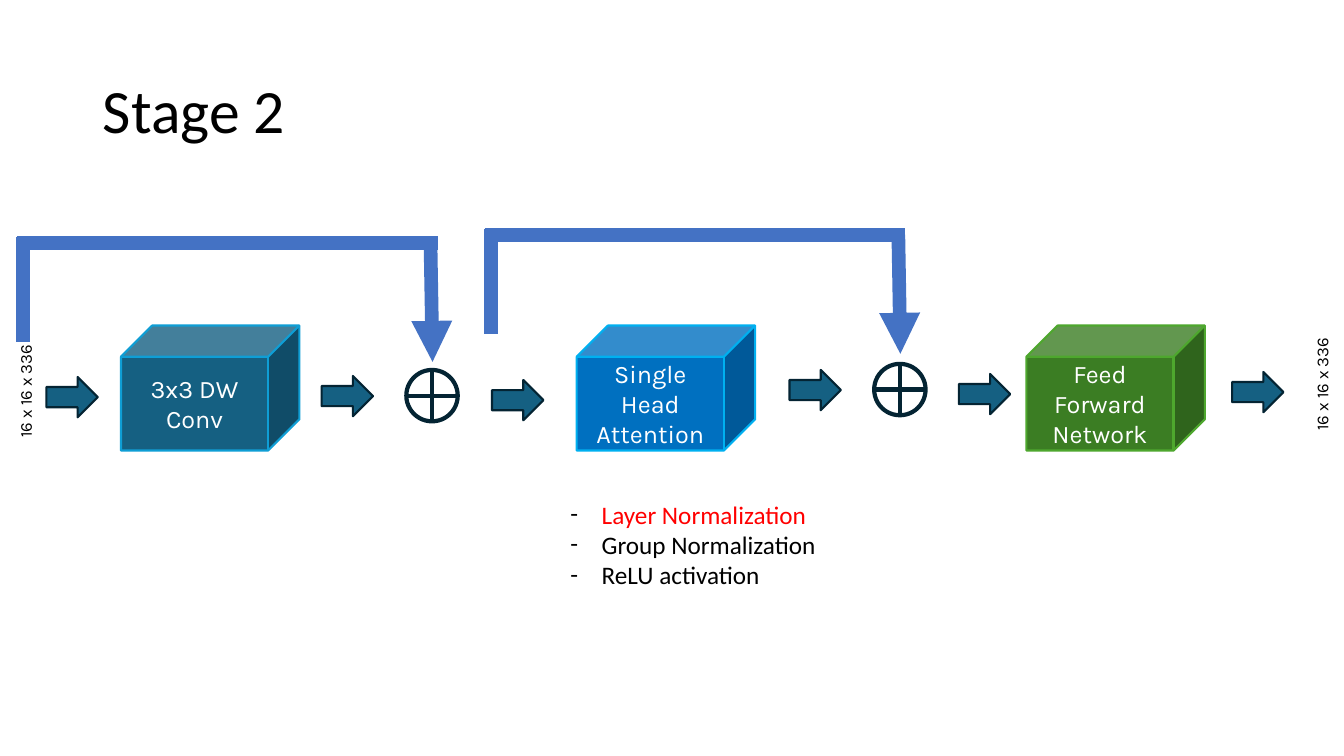
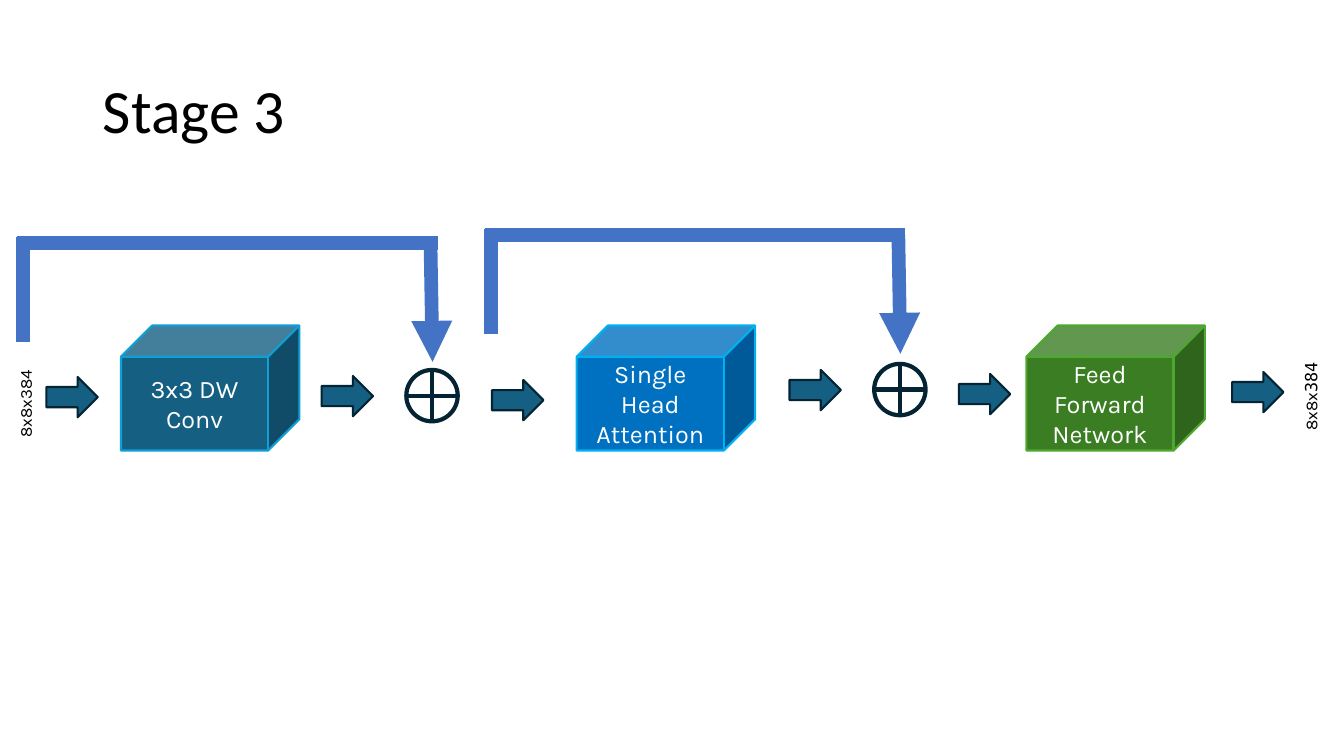
from lxml import etree
from pptx import Presentation
from pptx.dml.color import RGBColor
from pptx.enum import shapes, text
from pptx.oxml import ns
from pptx.util import Inches, Pt

TITLE_FONT, LABEL_FONT = "Calibri", "Karla"
BLACK, WHITE, RED = "000000", "FFFFFF", "FF0000"
TEAL, NAVY, BYPASS_BLUE = "156082", "042433", "4472C4"


def color(hex_string):
    return RGBColor.from_string(hex_string)


def add_xml(parent, tag, **attributes):
    return etree.SubElement(parent, ns.qn(tag), attributes)


def style_runs(para, font, size, font_color=BLACK):
    for span in para.runs:
        span.font.name = font
        span.font.size = Pt(size)
        span.font.color.rgb = color(font_color)


class StageDeck:
    """Holds the presentation, its style and the slide being built."""

    def __init__(self):
        self.deck = Presentation()
        self.deck.slide_width, self.deck.slide_height = Inches(13.33), Inches(7.5)
        self.page = None

    def new_page(self, title):
        self.page = self.deck.slides.add_slide(self.deck.slide_layouts[5])
        box = self.page.shapes.title
        box.left, box.top, box.width, box.height = map(Inches, (0.92, 0.4, 11.5, 1.45))
        box.text_frame.text = title
        box.text_frame.vertical_anchor = text.MSO_ANCHOR.MIDDLE
        para = box.text_frame.paragraphs[0]
        para.alignment = text.PP_ALIGN.LEFT
        para.line_spacing = 0.9
        style_runs(para, TITLE_FONT, 44)

    def shape(self, kind, left, top, width, height, fill, line, line_width=1.5):
        shape = self.page.shapes.add_shape(
            kind, Inches(left), Inches(top), Inches(width), Inches(height))
        shape.shadow.inherit = False
        if fill:
            shape.fill.solid()
            shape.fill.fore_color.rgb = color(fill)
        else:
            shape.fill.background()
        shape.line.color.rgb = color(line)
        shape.line.width = Pt(line_width)
        return shape

    def block(self, left, label, fill, line):
        cube = self.shape(shapes.MSO_SHAPE.CUBE, left, 3.23, 1.77, 1.24, fill, line)
        cube.text_frame.text = label
        cube.text_frame.vertical_anchor = text.MSO_ANCHOR.MIDDLE
        para = cube.text_frame.paragraphs[0]
        para.alignment = text.PP_ALIGN.CENTER
        style_runs(para, LABEL_FONT, 18, WHITE)

    def arrow(self, left, top):
        self.shape(shapes.MSO_SHAPE.RIGHT_ARROW, left, top, 0.51, 0.4, TEAL, NAVY)

    def adder(self, left, top):
        self.shape(shapes.MSO_SHAPE.FLOWCHART_OR, left, top, 0.51, 0.51, None, NAVY, 3)

    def bypass(self, left, top):
        """Draw a skip connection: a bar, a drop with an arrowhead, and a riser."""
        group = self.page.shapes.add_group_shape()
        for x1, y1, x2, y2, has_head in (
                (0, 0, 4.17, 0, False),
                (4.1, 0, 4.12, 1.18, True),
                (0.06, -0.06, 0.06, 0.98, False)):
            line = group.shapes.add_connector(
                shapes.MSO_CONNECTOR.STRAIGHT,
                Inches(left + x1), Inches(top + y1), Inches(left + x2), Inches(top + y2))
            line.line.color.rgb = color(BYPASS_BLUE)
            line.line.width = Pt(9.75)
            if has_head:
                add_xml(line.line._get_or_add_ln(), "a:tailEnd", type="triangle")
            add_xml(line._element.spPr, "a:effectLst")

    def text_box(self, left, top, width, height):
        box = self.page.shapes.add_textbox(
            Inches(left), Inches(top), Inches(width), Inches(height))
        box.text_frame.word_wrap = True
        return box

    def size_label(self, left, middle, label, mono_tail=""):
        """Write a tensor size upwards; left and middle are where it shows."""
        length, thickness = 1.2, 0.3
        box = self.text_box(left + (thickness - length) / 2, middle - thickness / 2,
                            length, thickness)
        box.rotation = 270
        box.text_frame.text = label
        para = box.text_frame.paragraphs[0]
        if mono_tail:
            para.add_run().text = mono_tail
        style_runs(para, LABEL_FONT, 12)
        if mono_tail:
            para.runs[-1].font.name = "DejaVu Sans Mono"

    def dash_list(self, left, top, width, height, items):
        frame = self.text_box(left, top, width, height).text_frame
        frame.text = "\n".join(label for label, _ in items)
        for para, (_, font_color) in zip(frame.paragraphs, items):
            properties = para._p.get_or_add_pPr()
            properties.set("marL", str(Inches(0.31)))
            properties.set("indent", str(-Inches(0.31)))
            add_xml(add_xml(properties, "a:buClr"), "a:srgbClr", val=BLACK)
            add_xml(properties, "a:buFont", typeface=TITLE_FONT)
            add_xml(properties, "a:buChar", char="-")
            style_runs(para, TITLE_FONT, 18, font_color)

    def stage(self, title, input_label, output_label):
        """Build one stage; each label holds the arguments of size_label."""
        self.new_page(title)
        self.block(1.2, "3x3 DW Conv", TEAL, "0F9ED5")
        self.block(5.72, "Single Head Attention", "0070C0", "00B0F0")
        self.block(10.18, "Feed Forward Network", "3B7D23", "4EA72E")
        for left, top in ((0.46, 3.74), (3.19, 3.73), (4.88, 3.77),
                          (7.83, 3.67), (9.51, 3.71), (12.22, 3.69)):
            self.arrow(left, top)
        for left, top in ((4.03, 3.67), (8.67, 3.61)):
            self.adder(left, top)
        for left, top in ((0.17, 2.41), (4.81, 2.33)):
            self.bypass(left, top)
        self.size_label(0.1, 3.84, *input_label)
        self.size_label(*output_label)


def main():
    stages = StageDeck()
    stages.stage("Stage 2", ("16 x 16 x 336",), (12.96, 3.77, "16 x 16 x 336"))
    stages.dash_list(5.56, 4.9, 3.26, 1.01, (
        ("Layer Normalization", RED),
        ("Group Normalization", BLACK),
        ("ReLU activation", BLACK)))
    stages.stage("Stage 3", ("8x8x384",), (12.85, 3.77, "8x8x", "384"))
    stages.deck.save("out.pptx")


if __name__ == "__main__":
    main()
